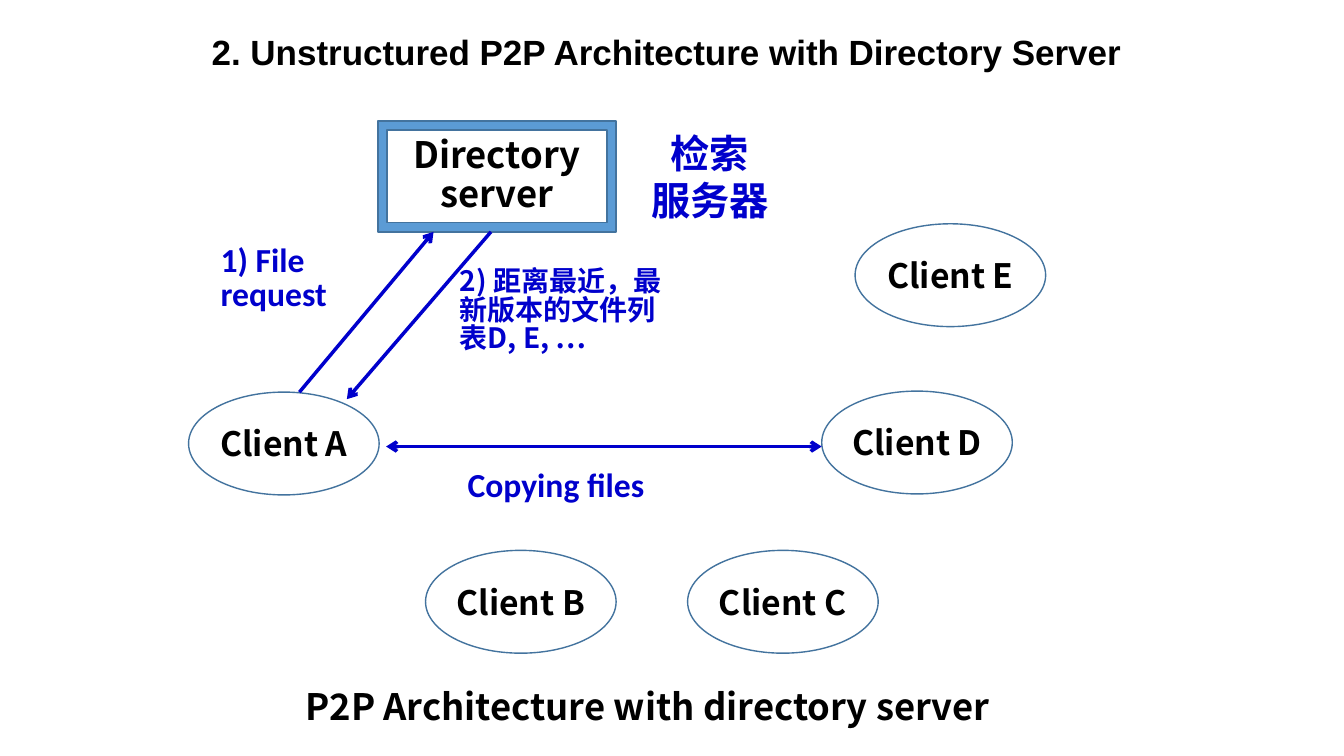
"""Build a slide on unstructured P2P architecture with a directory server."""
from lxml.etree import SubElement
from pptx import Presentation
from pptx.dml.color import RGBColor
from pptx.enum.shapes import MSO_CONNECTOR, MSO_SHAPE
from pptx.enum.text import MSO_ANCHOR, MSO_AUTO_SIZE, PP_ALIGN
from pptx.oxml.ns import qn
from pptx.util import Inches, Pt

COLORS = {"text": "000000", "accent": "0000CC", "outline": "43739E", "frame": "5B9BD5", "client": "FFFFFF"}
NOTO = "Noto Sans CJK SC"

presentation = Presentation()
presentation.slide_width = Inches(13.33)
presentation.slide_height = Inches(7.5)
slide = presentation.slides.add_slide(presentation.slide_layouts[6])


def place(*percents):
    """Turn alternating horizontal and vertical percentages into slide lengths."""
    sides = (presentation.slide_width, presentation.slide_height) * 2
    return [round(side * percent / 100) for side, percent in zip(sides, percents)]


def write(shape, text, size, font, color, frame_format, paragraph_format):
    """Fill a shape with bold text in the given format."""
    frame = shape.text_frame
    frame.text = text
    for name, value in frame_format.items():
        setattr(frame, name, value)
    for paragraph in frame.paragraphs:
        for name, value in paragraph_format.items():
            setattr(paragraph, name, value)
        for run in paragraph.runs:
            for name, value in {"name": font, "size": Pt(size), "bold": True}.items():
                setattr(run.font, name, value)
            run.font.color.rgb = RGBColor.from_string(COLORS[color])
            SubElement(run.font._element, qn("a:ea"), typeface=font)


centered = {"alignment": PP_ALIGN.CENTER}
middle = {"vertical_anchor": MSO_ANCHOR.MIDDLE, "word_wrap": True}
no_margins = dict.fromkeys(("margin_left", "margin_right", "margin_top", "margin_bottom"), 0)
title_format = middle | {"margin_left": 0, "margin_right": 0}
growing = {"word_wrap": True, "auto_size": MSO_AUTO_SIZE.SHAPE_TO_FIT_TEXT}
tight = {"line_spacing": 0.85}

client_size = (14.18, 13.6)
nodes = [
    ("Client A", MSO_SHAPE.OVAL, (14.03, 51.87, *client_size)),
    ("Client B", MSO_SHAPE.OVAL, (31.66, 72.8, *client_size)),
    ("Client C", MSO_SHAPE.OVAL, (51.16, 72.8, *client_size)),
    ("Client D", MSO_SHAPE.OVAL, (61.14, 51.73, *client_size)),
    ("Client E", MSO_SHAPE.OVAL, (63.62, 29.6, *client_size)),
    ("Directory server", MSO_SHAPE.FRAME, (28.13, 16, 17.7, 14.67)),
]
for name, kind, box in nodes:
    shape = slide.shapes.add_shape(kind, *place(*box))
    shape.shadow.inherit = False
    shape.fill.solid()
    shape.line.color.rgb = RGBColor.from_string(COLORS["outline"])
    shape.line.width = Pt(1)
    if kind == MSO_SHAPE.FRAME:
        shape.adjustments[0] = 0.082
        shape.fill.fore_color.rgb = RGBColor.from_string(COLORS["frame"])
        write(shape, name, 26, NOTO, "text", middle, centered | {"line_spacing": 0.88})
    else:
        shape.fill.fore_color.rgb = RGBColor.from_string(COLORS["client"])
        write(shape, name, 24, NOTO, "text", middle | no_margins, centered)

arrows = [
    ((22.28, 51.87, 32.26, 30.67), ["tailEnd"]),
    ((36.53, 30.67, 25.81, 52.8), ["tailEnd"]),
    ((28.73, 59.07, 61.14, 59.07), ["headEnd", "tailEnd"]),
]
for ends, heads in arrows:
    connector = slide.shapes.add_connector(MSO_CONNECTOR.STRAIGHT, *place(*ends))
    connector.line.color.rgb = RGBColor.from_string(COLORS["accent"])
    connector.line.width = Pt(2.5)
    for head in heads:
        SubElement(connector.line._get_or_add_ln(), qn(f"a:{head}"), type="arrow")
    SubElement(connector._element.spPr, qn("a:effectLst"))

labels = [
    ("1) File request", (15.68, 31.73, 11.25, 10.53), 24, "Calibri", "accent", growing, tight),
    ("2) 距离最近，最新版本的文件列表D, E, …", (33.46, 34.93, 16.58, 12.8), 20, NOTO, "accent", growing, tight),
    ("Copying files", (34.06, 61.47, 18.3, 5.87), 24, "Calibri", "accent", growing, tight),
    ("P2P Architecture with directory server", (18.08, 89.87, 60.24, 7.2), 26, NOTO, "text", growing, centered),
    ("2. Unstructured P2P Architecture with Directory Server", (15.75, 2.67, 69.24, 8.4), 25, "Arial", "text",
     title_format, {}),
    ("检索\n服务器", (47.64, 16.4, 10.35, 13.87), 28, NOTO, "accent", growing | {"word_wrap": False}, centered),
]
for text, box, *text_format in labels:
    write(slide.shapes.add_textbox(*place(*box)), text, *text_format)

presentation.save("out.pptx")
